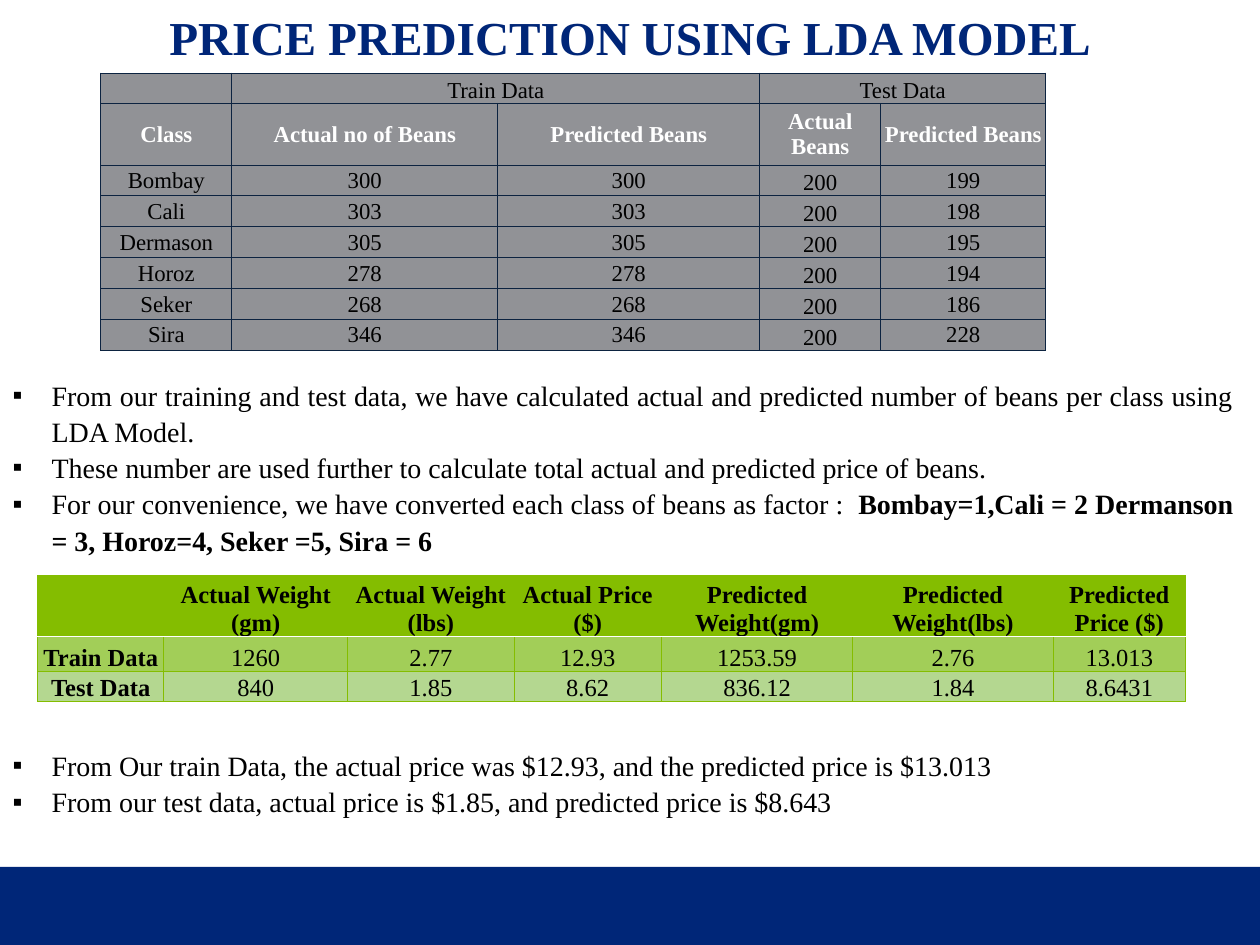
from lxml.etree import SubElement
from pptx import Presentation
from pptx.dml.color import RGBColor
from pptx.enum.shapes import MSO_SHAPE as Shape
from pptx.enum.text import MSO_ANCHOR as Anchor, MSO_AUTO_SIZE as AutoSize, PP_ALIGN as Align
from pptx.oxml.ns import qn
from pptx.util import Inches, Pt

FONT = "Times New Roman"
NAVY, BLACK, WHITE = "002678", "000000", "FFFFFF"
GRAY, DARK_LINE = "919296", "0C2340"
GREEN, TRAIN_GREEN, TEST_GREEN = "84BD00", "A2CE58", "B4D790"

COUNT_ROWS = [
    ["", "Train Data", "", "Test Data", ""],
    ["Class", "Actual no of Beans", "Predicted Beans", "Actual Beans", "Predicted Beans"],
    ["Bombay", "300", "300", "200", "199"],
    ["Cali", "303", "303", "200", "198"],
    ["Dermason", "305", "305", "200", "195"],
    ["Horoz", "278", "278", "200", "194"],
    ["Seker", "268", "268", "200", "186"],
    ["Sira", "346", "346", "200", "228"],
]
PRICE_ROWS = [
    ["", "Actual Weight (gm)", "Actual Weight (lbs)", "Actual Price ($)",
     "Predicted Weight(gm)", "Predicted Weight(lbs)", "Predicted Price ($)"],
    ["Train Data", "1260", "2.77", "12.93", "1253.59", "2.76", "13.013"],
    ["Test Data", "840", "1.85", "8.62", "836.12", "1.84", "8.6431"],
]
METHOD = [
    [("From our training and test data, we have calculated actual and predicted "
      "number of beans per class using LDA Model.", False)],
    [("These number are used further to calculate total actual and predicted "
      "price of beans.", False)],
    [("For our convenience, we have converted each class of beans as factor :  ", False),
     ("Bombay=1,Cali = 2 Dermanson = 3, Horoz=4, Seker =5, Sira = 6", True)],
]
RESULTS = [
    [("From Our train Data, the actual price was $12.93, and the predicted price "
      "is $13.013", False)],
    [("From our test data, actual price is $1.85, and predicted price is $8.643", False)],
]


def color(value):
    return RGBColor.from_string(value)


def style(span, size, tint=BLACK, bold=False):
    span.font.name = FONT
    span.font.size = Pt(size)
    span.font.bold = bold
    span.font.color.rgb = color(tint)


def place(shape, box):
    shape.left, shape.top, shape.width, shape.height = (Inches(side) for side in box)


def add_title(page, box, text):
    title = page.shapes.title
    place(title, box)
    frame = title.text_frame
    frame.text = text
    frame.auto_size = AutoSize.NONE
    frame.vertical_anchor = Anchor.BOTTOM
    frame.margin_left = frame.margin_right = Inches(0.07)
    frame.margin_top = frame.margin_bottom = Inches(0.04)
    para = frame.paragraphs[0]
    para.alignment = Align.CENTER
    para.line_spacing = 0.9
    style(para.runs[0], 27, NAVY, True)


def add_footer_band(page, box):
    band = page.shapes.add_shape(Shape.RECTANGLE, *(Inches(side) for side in box))
    band.shadow.inherit = False
    band.fill.solid()
    band.fill.fore_color.rgb = color(NAVY)
    band.line.fill.background()


def add_bullets(holder, box, items, alignment):
    place(holder, box)
    frame = holder.text_frame
    frame.word_wrap = True
    frame.auto_size = AutoSize.NONE
    frame.vertical_anchor = Anchor.TOP
    for index, item in enumerate(items):
        para = frame.add_paragraph() if index else frame.paragraphs[0]
        para.alignment = alignment
        para.line_spacing = 1.08
        para.space_before = para.space_after = Pt(0)
        for text, bold in item:
            span = para.add_run()
            span.text = text
            style(span, 16, BLACK, bold)
        props = para._p.get_or_add_pPr()
        props.set("marL", str(Inches(0.31)))
        props.set("indent", str(-Inches(0.31)))
        SubElement(props, qn("a:buFont"), typeface=FONT)
        SubElement(props, qn("a:buChar"), char="▪")


def set_borders(cell, edges):
    props = cell._tc.get_or_add_tcPr()
    for side in "LRTB":
        tint, width = edges[side]
        line = SubElement(props, qn(f"a:ln{side}"), w=str(Pt(width)))
        fill = SubElement(line, qn("a:solidFill"))
        SubElement(fill, qn("a:srgbClr"), val=tint)


def fill_cell(cell, text, size, tint, bold, fill, edges, anchor):
    cell.margin_left = cell.margin_right = cell.margin_top = Inches(0.01)
    cell.margin_bottom = 0
    cell.vertical_anchor = anchor
    set_borders(cell, edges)
    cell.fill.solid()
    cell.fill.fore_color.rgb = color(fill)
    para = cell.text_frame.paragraphs[0]
    para.alignment = Align.CENTER
    if text:
        para.text = text
        style(para.runs[0], size, tint, bold)
    else:
        SubElement(para._p, qn("a:endParaRPr"), sz=str(size * 100))


def add_grid(page, box, rows, widths, heights):
    frame = page.shapes.add_table(len(rows), len(widths), *(Inches(side) for side in box))
    table = frame.table
    table.first_row = table.horz_banding = False
    for column, width in zip(table.columns, widths):
        column.width = Inches(width)
    for row, height in zip(table.rows, heights):
        row.height = Inches(height)
    return table


def add_count_table(page, box):
    table = add_grid(page, box, COUNT_ROWS, [1.04, 2.11, 2.08, 0.96, 1.31],
                     [0.24, 0.49] + [0.245] * 6)
    edges = dict.fromkeys("LRTB", (DARK_LINE, 0.5))
    for r, row in enumerate(COUNT_ROWS):
        for c, text in enumerate(row):
            header = r == 1
            low = r == 0 or (c == 3 and not header)
            fill_cell(table.cell(r, c), text, 13, WHITE if header else BLACK, header,
                      GRAY, edges, Anchor.BOTTOM if low else Anchor.MIDDLE)
    for first in (1, 3):
        table.cell(0, first).merge(table.cell(0, first + 1))


def add_price_table(page, box):
    table = add_grid(page, box, PRICE_ROWS, [1, 1.46, 1.32, 1.17, 1.52, 1.59, 1.05],
                     [0.48, 0.28, 0.24])
    fills = [GREEN, TRAIN_GREEN, TEST_GREEN]
    for r, row in enumerate(PRICE_ROWS):
        edges = dict.fromkeys("LRTB", (GREEN, 0.5))
        if r < 2:
            edges["B" if r == 0 else "T"] = (WHITE, 1)
        for c, text in enumerate(row):
            fill_cell(table.cell(r, c), text, 14, BLACK, r == 0 or c == 0,
                      fills[r], edges, Anchor.BOTTOM)


def main():
    deck = Presentation()
    deck.slide_width, deck.slide_height = Inches(10), Inches(7.5)
    page = deck.slides.add_slide(deck.slide_layouts[3])
    add_footer_band(page, (0, 6.88, 10, 0.62))
    add_title(page, (0, 0, 10, 0.56), "PRICE PREDICTION USING LDA MODEL")
    add_count_table(page, (0.8, 0.58, 7.5, 2.2))
    add_bullets(page.placeholders[1], (0, 2.93, 9.89, 1.45), METHOD, Align.JUSTIFY)
    add_price_table(page, (0.3, 4.57, 9.1, 1))
    add_bullets(page.placeholders[2], (0, 5.87, 10, 0.64), RESULTS, Align.LEFT)
    deck.save("out.pptx")


if __name__ == "__main__":
    main()
